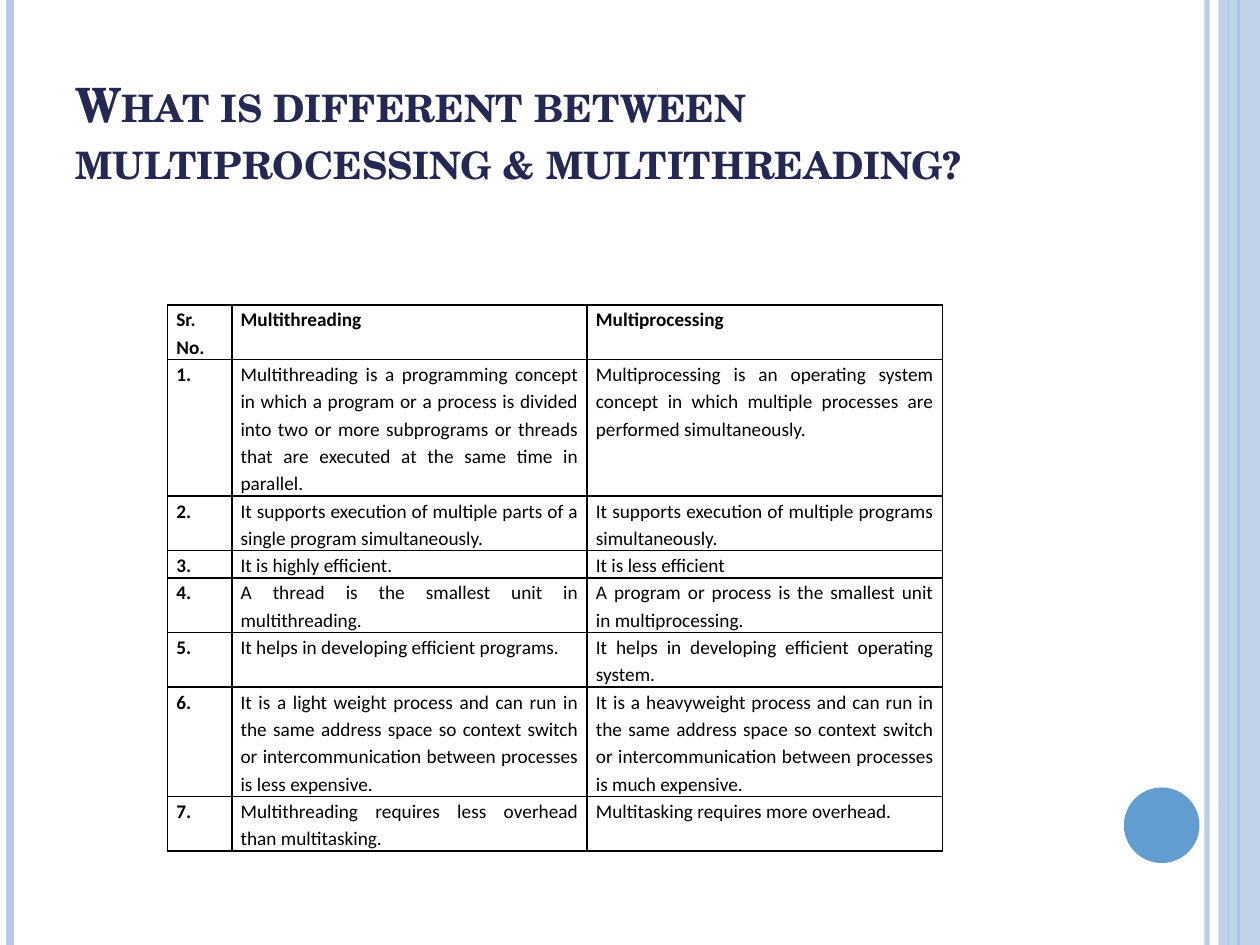
"""Build a slide with a table that sets multithreading against multiprocessing."""
from lxml import etree
from pptx import Presentation
from pptx.dml.color import RGBColor
from pptx.enum.shapes import MSO_CONNECTOR, MSO_SHAPE
from pptx.enum.text import MSO_ANCHOR, MSO_AUTO_SIZE, PP_ALIGN
from pptx.oxml import parse_xml
from pptx.oxml.ns import nsdecls, qn
from pptx.util import Inches, Pt

LINE = MSO_CONNECTOR.STRAIGHT
RECT, OVAL = MSO_SHAPE.RECTANGLE, MSO_SHAPE.OVAL
BOTTOM, FIXED = MSO_ANCHOR.BOTTOM, MSO_AUTO_SIZE.NONE
LEFT, JUST = PP_ALIGN.LEFT, PP_ALIGN.JUSTIFY
PALE = RGBColor(0xB7, 0xCC, 0xE5)
BLUE = RGBColor(0x62, 0x9D, 0xD1)
NAVY = RGBColor(0x24, 0x28, 0x52)
BLACK = RGBColor(0, 0, 0)

HEAD = "What is different between multiprocessing & multithreading?"
ROWS = [
    (2, "Sr. No.", "Multithreading", "Multiprocessing"),
    (5, "1.", "Multithreading is a programming concept in which a program or a process is "
     "divided into two or more subprograms or threads that are executed at the same time in parallel.",
     "Multiprocessing is an operating system concept in which multiple processes are "
     "performed simultaneously."),
    (2, "2.", "It supports execution of multiple parts of a single program simultaneously.",
     "It supports execution of multiple programs simultaneously."),
    (1, "3.", "It is highly efficient.", "It is less efficient"),
    (2, "4.", "A thread is the smallest unit in multithreading.",
     "A program or process is the smallest unit in multiprocessing."),
    (2, "5.", "It helps in developing efficient programs.",
     "It helps in developing efficient operating system."),
    (4, "6.", "It is a light weight process and can run in the same address space so context "
     "switch or intercommunication between processes is less expensive.",
     "It is a heavyweight process and can run in the same address space so context "
     "switch or intercommunication between processes is much expensive."),
    (2, "7.", "Multithreading requires less overhead than multitasking.",
     "Multitasking requires more overhead."),
]
COLS = [0.51, 2.82, 2.82]
STEP = 0.21


def style(item, form):
    for name, value in form.items():
        setattr(item, name, value)


def fade(part, share):
    color = part.find(".//" + qn("a:srgbClr"))
    etree.SubElement(color, qn("a:alpha")).set("val", str(share * 1000))


deck = Presentation()
style(deck, {"slide_width": Inches(10), "slide_height": Inches(7.5)})
slide = deck.slides.add_slide(deck.slide_layouts[5])
shapes = slide.shapes

for x, width, color, share in [(9.58, 3, PALE, 93), (0.08, 4.5, PALE, 100),
                               (9.83, 1.5, BLUE, 100), (9.75, 0.75, BLUE, 100)]:
    rule = shapes.add_connector(LINE, Inches(x), 0, Inches(x), Inches(7.5))
    rule.line.color.rgb = color
    rule.line.width = Pt(width)
    etree.SubElement(rule._element.spPr, qn("a:effectLst"))
    if share < 100:
        fade(rule._element.spPr, share)

for kind, box, color, share in [(RECT, (9.67, 0, 0.33, 7.5), PALE, 87),
                                (OVAL, (8.92, 6.25, 0.6, 0.6), BLUE, 100)]:
    shape = shapes.add_shape(kind, *map(Inches, box))
    shape.shadow.inherit = False
    shape.fill.solid()
    shape.fill.fore_color.rgb = color
    shape.line.fill.background()
    if share < 100:
        fade(shape._element.spPr, share)

title = shapes.title
style(title, {"left": Inches(0.5), "top": Inches(0.3),
              "width": Inches(8.17), "height": Inches(1.25)})
style(title.text_frame, {"vertical_anchor": BOTTOM, "auto_size": FIXED, "word_wrap": True})
par = title.text_frame.paragraphs[0]
par.alignment = LEFT
run = par.add_run()
run.text = HEAD
style(run.font, {"name": "TeX Gyre Schola", "size": Pt(27), "bold": True})
run.font.color.rgb = NAVY
run._r.get_or_add_rPr().set("cap", "small")

high = STEP * sum(row[0] for row in ROWS)
frame = shapes.add_table(len(ROWS), len(COLS), Inches(1.33), Inches(2.42),
                         Inches(sum(COLS)), Inches(high))
table = frame.table
style(table, {"first_row": False, "horz_banding": False})
for col, width in zip(table.columns, COLS):
    col.width = Inches(width)

for r, (count, *texts) in enumerate(ROWS):
    table.rows[r].height = Inches(STEP * count)
    for c, text in enumerate(texts):
        cell = table.cell(r, c)
        style(cell, {"margin_left": Inches(0.07), "margin_right": Inches(0.07),
                     "margin_top": 0, "margin_bottom": 0})
        for side in "LRTB":
            cell._tc.get_or_add_tcPr().append(parse_xml(
                f'<a:ln{side} {nsdecls("a")} w="12700"><a:solidFill>'
                f'<a:srgbClr val="{BLACK}"/></a:solidFill></a:ln{side}>'))
        cell.fill.background()
        par = cell.text_frame.paragraphs[0]
        style(par, {"alignment": JUST, "line_spacing": 1.15})
        run = par.add_run()
        run.text = text
        style(run.font, {"name": "Calibri", "size": Pt(11), "bold": r == 0 or c == 0})
        run.font.color.rgb = BLACK

deck.save("out.pptx")
